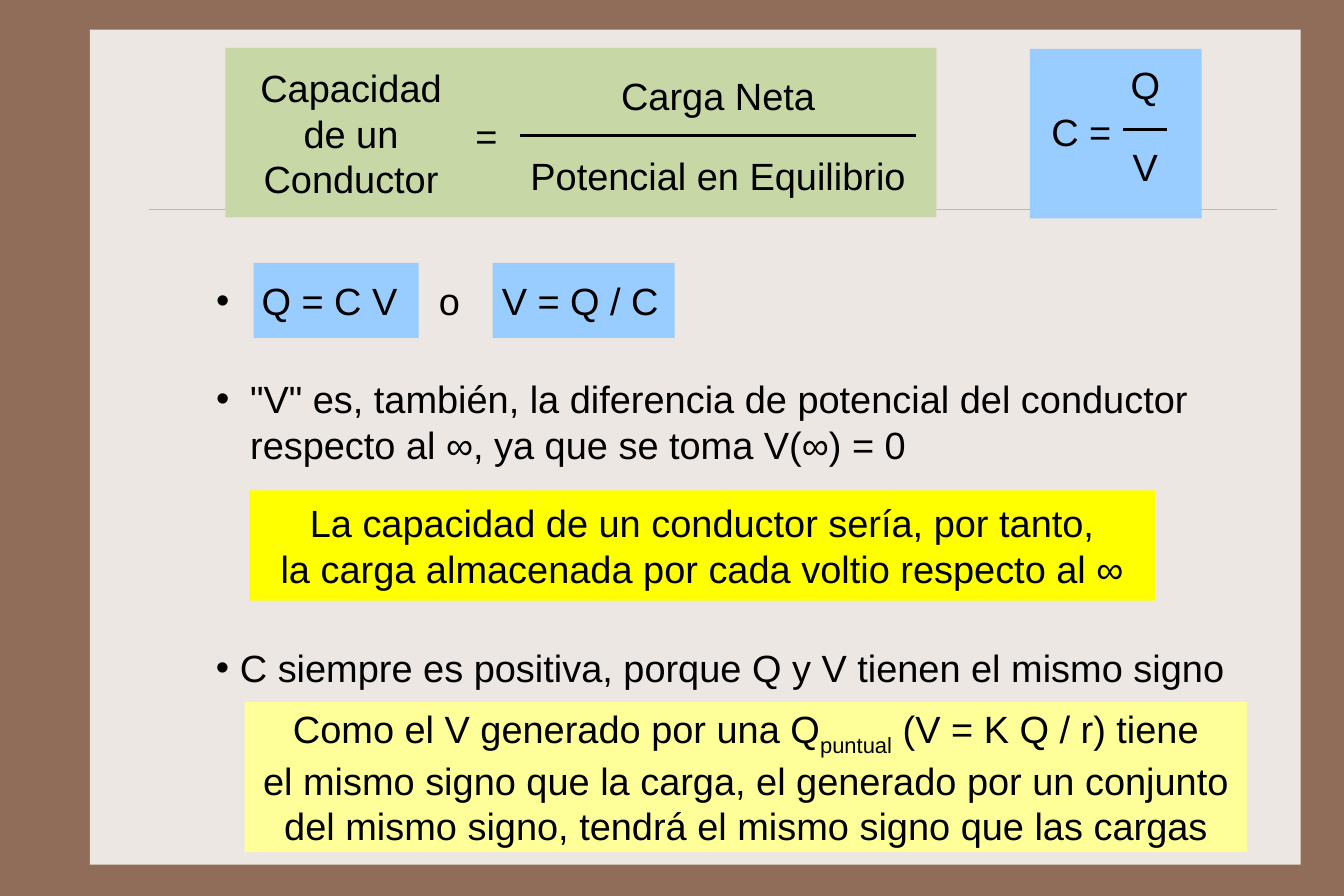
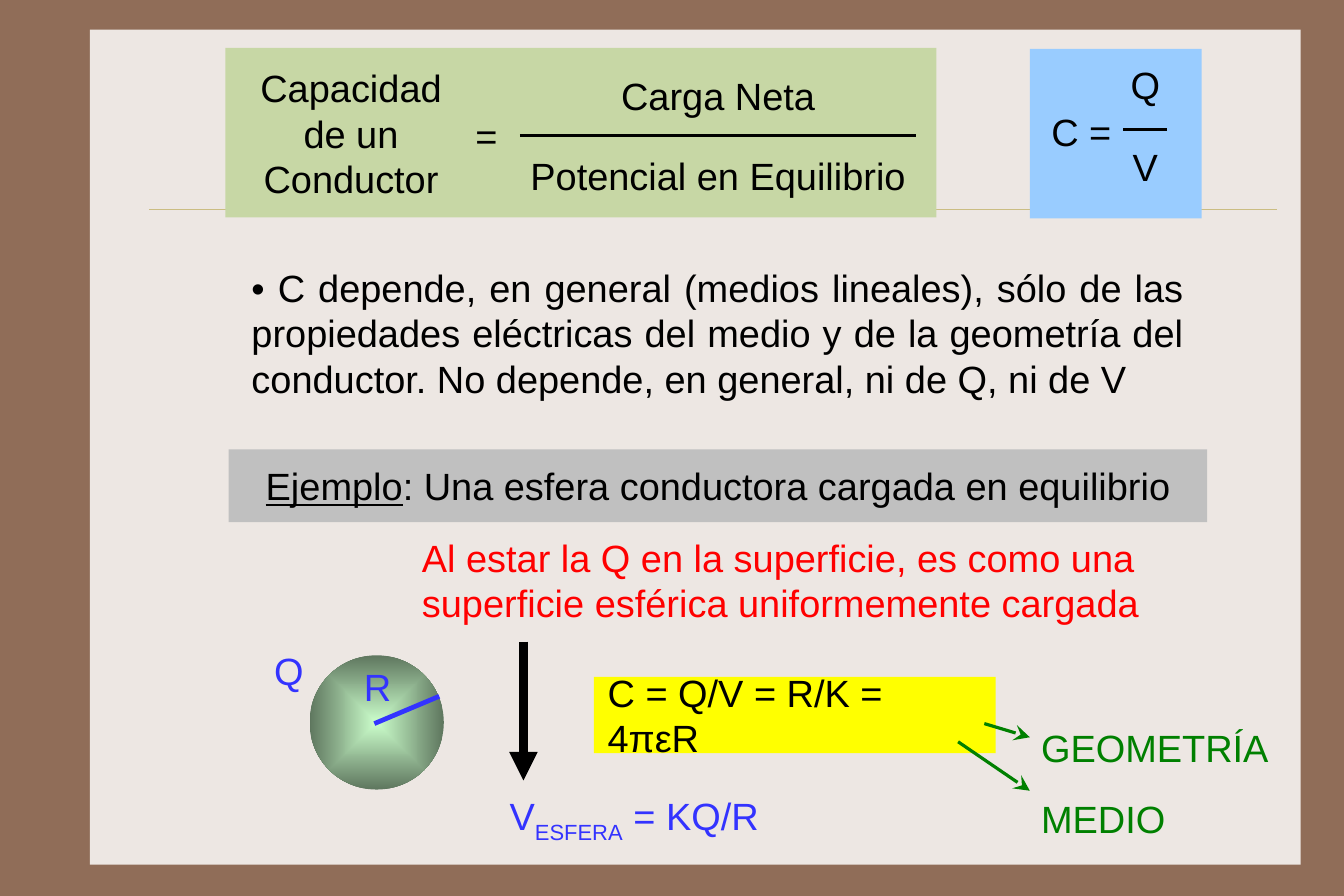
from typing import NamedTuple

from lxml import etree
from pptx import Presentation
from pptx.dml.color import RGBColor
from pptx.enum.shapes import MSO_CONNECTOR as Connector, MSO_SHAPE as Shape
from pptx.enum.text import MSO_ANCHOR as Anchor, PP_ALIGN as Align
from pptx.oxml.ns import qn
from pptx.util import Inches, Pt

BROWN = RGBColor(0x90, 0x6D, 0x58)
CREAM = RGBColor(0xED, 0xE7, 0xE3)
SAND = RGBColor(0xCB, 0xBD, 0x83)
SAGE = RGBColor(0xC7, 0xD7, 0xA5)
SKY = RGBColor(0x99, 0xCC, 0xFF)
YELLOW = RGBColor(0xFF, 0xFF, 0x00)
PALE_YELLOW = RGBColor(0xFF, 0xFF, 0x99)
SILVER = RGBColor(0xC0, 0xC0, 0xC0)
BLACK = RGBColor(0x00, 0x00, 0x00)
RED = RGBColor(0xFF, 0x00, 0x00)
BLUE = RGBColor(0x33, 0x33, 0xFF)
GREEN = RGBColor(0x00, 0x80, 0x00)
MINT = RGBColor(0xCC, 0xFF, 0xCC)
DARK_MINT = RGBColor(0x5E, 0x76, 0x5E)

FONT, SIZE = "Arial", Pt(24)
COLUMNS, ROWS = 118.11, 78.75  # grid cells of a tenth of an inch
LINE_ROWS = 5.1                # height of a one-line label
SUB, UNDERLINE = "sub", "underline"


def grid(cells):
    return Inches(cells / 10)


class Box(NamedTuple):
    """A region, in grid cells."""
    left: float
    top: float
    width: float
    height: float

    def inner(self, left, top, width, height):
        return Box(self.left + left, self.top + top, width, height)

    def point(self, column, row):
        return self.left + column, self.top + row

    def lengths(self):
        return [grid(cells) for cells in self]


def write(frame, paragraphs, color=BLACK, align=Align.LEFT, inset=1.0,
          wrap=True, hang=0):
    """Fill a frame; a run is a string or a (string, style) pair."""
    frame.word_wrap = wrap
    frame.vertical_anchor = Anchor.MIDDLE
    frame.margin_left = frame.margin_right = grid(inset)
    frame.margin_top = frame.margin_bottom = grid(0.5)
    for index, runs in enumerate(paragraphs):
        line = frame.paragraphs[0] if index == 0 else frame.add_paragraph()
        line.alignment = align
        if hang:
            add_bullet(line, hang)
        line.font.name, line.font.size = FONT, SIZE
        line.font.color.rgb = color
        for part in runs:
            text, style = (part, None) if isinstance(part, str) else part
            run = line.add_run()
            run.text = text
            if style == SUB:
                run._r.get_or_add_rPr().set("baseline", "-25000")
            elif style == UNDERLINE:
                run.font.underline = True


def add_bullet(line, hang):
    properties = line._p.get_or_add_pPr()
    properties.set("marL", str(grid(hang)))
    properties.set("indent", str(-grid(hang)))
    etree.SubElement(properties, qn("a:buFont")).set("typeface", FONT)
    etree.SubElement(properties, qn("a:buChar")).set("char", "•")


def add_text(slide, box, *paragraphs, **style):
    frame = slide.shapes.add_textbox(*box.lengths()).text_frame
    write(frame, paragraphs, **style)


def add_label(slide, box, text, **style):
    add_text(slide, box, [text], wrap=False, **style)


def add_panel(slide, box, fill, *paragraphs, **style):
    panel = slide.shapes.add_shape(Shape.RECTANGLE, *box.lengths())
    panel.shadow.inherit = False
    panel.fill.solid()
    panel.fill.fore_color.rgb = fill
    panel.line.fill.background()
    if paragraphs:
        write(panel.text_frame, paragraphs, **style)
    return panel


def add_line(slide, start, end, color, width, head=None, head_size="med"):
    line = slide.shapes.add_connector(
        Connector.STRAIGHT, *(grid(cells) for cells in (*start, *end)))
    line.line.color.rgb = color
    line.line.width = Pt(width)
    if head:
        outline = line.line._get_or_add_ln()
        etree.SubElement(outline, qn("a:tailEnd"),
                         type=head, w=head_size, len=head_size)
    etree.SubElement(line.element.spPr, qn("a:effectLst"))
    return line


def build_master(master, slide):
    """Give the master its background, page and title rule."""
    master.background.fill.solid()
    master.background.fill.fore_color.rgb = BROWN
    page = Box(7.9, 2.6, 106.4, 73.4)
    parts = [add_panel(slide, page, CREAM),
             add_line(slide, page.point(5.2, 15.8), page.point(104.3, 15.8),
                      SAND, 0.25)]
    for number, part in enumerate(parts, 101):
        part.element.xpath(".//p:cNvPr")[0].set("id", str(number))
        master.shapes.element.append(part.element)


def fraction(slide, box, numerator, denominator, bar_share=0.5):
    bar = box.height * bar_share
    add_line(slide, box.point(0, bar), box.point(box.width, bar), BLACK, 2)
    for text, top in ((numerator, 0), (denominator, box.height - LINE_ROWS)):
        add_label(slide, box.inner(0, top, box.width, LINE_ROWS), text,
                  align=Align.CENTER, inset=0)


def definition(slide, box):
    add_panel(slide, box, SAGE)
    add_text(slide, box.inner(1.2, 0.9, 19.7, 13.2),
             ["Capacidad de un Conductor"], align=Align.CENTER)
    add_label(slide, box.inner(21, 5.1, 4, LINE_ROWS), "=")
    fraction(slide, box.inner(25.9, 1.6, 34.8, 12.2),
             "Carga Neta", "Potencial en Equilibrio")


def formula(slide, box):
    add_panel(slide, box, SKY)
    add_label(slide, box.inner(0.9, 4.7, 8.2, LINE_ROWS), "C =")
    fraction(slide, box.inner(8.2, 0.6, 3.9, 12.3), "Q", "V", 0.53)


def header(slide):
    definition(slide, Box(19.8, 4.2, 62.5, 14.9))
    formula(slide, Box(90.5, 4.3, 15.1, 14.9))


def equivalent_forms(slide, box):
    add_panel(slide, box.inner(4.3, 0, 14.5, box.height), SKY)
    add_text(slide, box.inner(0, 0, 18.8, box.height), ["Q = C V"], hang=4)
    add_label(slide, box.inner(19.6, 0, 4, box.height), "o")
    add_panel(slide, box.inner(25.3, 0, 16, box.height), SKY,
              ["V = Q / C"], inset=0.8)


def properties_slide(slide):
    header(slide)
    equivalent_forms(slide, Box(18, 23.1, 41.3, 6.6))
    add_text(slide, Box(18, 32.5, 91.5, 9.1),
             ['"V" es, también, la diferencia de potencial del conductor '
              "respecto al ∞, ya que se toma V(∞) = 0"], hang=3)
    add_panel(slide, Box(21.9, 43.1, 79.6, 9.7), YELLOW,
              ["La capacidad de un conductor sería, por tanto,"],
              ["la carga almacenada por cada voltio respecto al ∞"],
              align=Align.CENTER)
    add_text(slide, Box(18, 56.1, 94.3, LINE_ROWS),
             ["C siempre es positiva, porque Q y V tienen el mismo signo"],
             hang=2.1)
    add_panel(slide, Box(21.5, 61.7, 88.1, 13.2), PALE_YELLOW,
              ["Como el V generado por una Q", ("puntual", SUB),
               " (V = K Q / r) tiene"],
              ["el mismo signo que la carga, el generado por un conjunto"],
              ["del mismo signo, tendrá el mismo signo que las cargas"],
              align=Align.CENTER)


def charged_sphere(slide, box):
    diameter = 11.8
    ball = box.inner(4.1, 1.2, diameter, diameter)
    sphere = slide.shapes.add_shape(Shape.OVAL, *ball.lengths())
    sphere.shadow.inherit = False
    sphere.line.fill.background()
    sphere.fill.gradient()
    for stop, color in zip(sphere.fill.gradient_stops, (MINT, DARK_MINT)):
        stop.color.rgb = color
    linear = sphere.element.spPr.find(".//" + qn("a:lin"))
    radial = etree.Element(qn("a:path"), path="shape")
    etree.SubElement(radial, qn("a:fillToRect"),
                     {side: "50000" for side in "ltrb"})
    linear.getparent().replace(linear, radial)
    add_line(slide, ball.point(5.7, 6), ball.point(11.4, 3.6), BLUE, 3)
    add_label(slide, box.inner(0, 0.4, 4.1, 4.3), "Q", color=BLUE)
    add_label(slide, box.inner(7.9, 1.8, 4, 4.3), "R", color=BLUE)


def sphere_result(slide, box):
    """The sphere's capacity, with its two factors pointed out."""
    add_panel(slide, box.inner(0, 0, 35.3, 6.7), YELLOW,
              ["C = Q/V = R/K = 4πεR"], inset=1.2)
    factors = (("GEOMETRÍA", 3.2, (34.3, 4.1), 5.3),
               ("MEDIO", 9.5, (32, 5.7), 10))
    for name, top, start, tip in factors:
        add_label(slide, box.inner(38.3, top, 22.2, 5.9), name, color=GREEN)
        add_line(slide, box.point(*start), box.point(38.3, tip),
                 GREEN, 2, "stealth", "lg")


def example_slide(slide):
    header(slide)
    add_text(slide, Box(19.9, 22.4, 86.3, 13.7),
             ["• C depende, en general (medios lineales), sólo de las "
              "propiedades eléctricas del medio y de la geometría del "
              "conductor. No depende, en general, ni de Q, ni de V"],
             align=Align.JUSTIFY, inset=2.2)
    add_panel(slide, Box(20.1, 39.5, 86, 6.4), SILVER,
              [("Ejemplo", UNDERLINE),
               ": Una esfera conductora cargada en equilibrio"],
              align=Align.CENTER)
    add_text(slide, Box(36.1, 46.4, 65.6, 9.1),
             ["Al estar la Q en la superficie, es como una "
              "superficie esférica uniformemente cargada"], color=RED)
    charged_sphere(slide, Box(23.1, 56.4, 15.9, 13))
    add_line(slide, (46, 56.4), (46, 68.6), BLACK, 6, "triangle")
    add_text(slide, Box(43.8, 69.4, 25.1, LINE_ROWS),
             ["V", ("ESFERA", SUB), " = KQ/R"], color=BLUE, wrap=False)
    sphere_result(slide, Box(52.2, 59.5, 60.5, 15.4))


def main():
    deck = Presentation()
    deck.slide_width, deck.slide_height = grid(COLUMNS), grid(ROWS)
    deck.element.sldSz.attrib.pop("type", None)
    blank = deck.slide_layouts[6]
    properties, example = (deck.slides.add_slide(blank) for _ in range(2))
    build_master(deck.slide_master, properties)
    properties_slide(properties)
    example_slide(example)
    deck.save("out.pptx")


if __name__ == "__main__":
    main()
